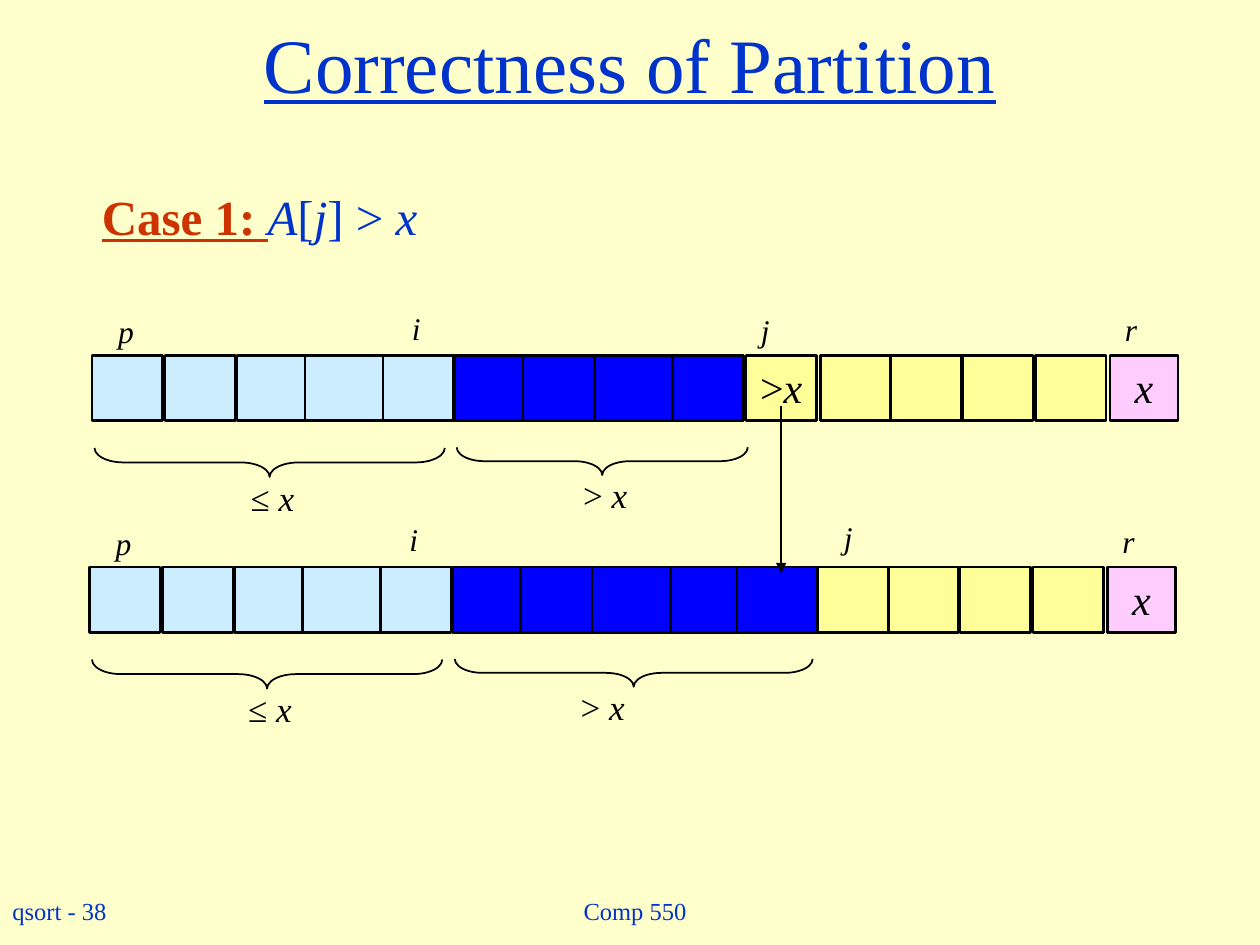
from lxml import etree
from pptx import Presentation
from pptx.dml.color import RGBColor
from pptx.enum.shapes import MSO_CONNECTOR, MSO_SHAPE
from pptx.enum.text import MSO_ANCHOR, MSO_AUTO_SIZE, PP_ALIGN
from pptx.oxml.ns import qn
from pptx.util import Inches, Pt

FONT = "Times New Roman"
COLORS = {
    "background": "FFFFCC", "blue": "0033CC", "red": "CC3300", "black": "000000",
    "smaller": "CCECFF", "larger": "0000FF", "unseen": "FFFF99", "pivot": "FFCCFF",
}

# Array cells, measured from the left edge of the array: (left, width)
CELLS = [(0, 0.56), (0.58, 0.56), (1.15, 0.56), (1.69, 0.64), (2.31, 0.56),
         (2.88, 0.56), (3.42, 0.64), (3.99, 0.64), (4.61, 0.56), (5.19, 0.56),
         (5.78, 0.56), (6.34, 0.56), (6.91, 0.56), (7.49, 0.56), (8.08, 0.54)]
CELL_HEIGHT = 0.52
J_CELL = 9  # the cell under examination


def rgb(name):
    return RGBColor.from_string(COLORS[name])


def write(shape, runs, size, color="black", align=None, anchor=MSO_ANCHOR.TOP,
          wrap=False, grow=True):
    """Fill a shape with one paragraph of (text, font attributes) runs."""
    tf = shape.text_frame
    tf.word_wrap = wrap
    tf.auto_size = MSO_AUTO_SIZE.SHAPE_TO_FIT_TEXT if grow else MSO_AUTO_SIZE.NONE
    tf.vertical_anchor = anchor
    p = tf.paragraphs[0]
    p.alignment = align
    p.font.name, p.font.size = FONT, Pt(size)
    p.font.color.rgb = rgb(color)
    for text, attributes in runs:
        r = p.add_run()
        r.text = text
        for key, value in attributes.items():
            if key == "color":
                r.font.color.rgb = rgb(value)
            else:
                setattr(r.font, key, value)


def add_text(shapes, box, runs, size, **options):
    write(shapes.add_textbox(*map(Inches, box)), runs, size, **options)


def add_outlined(shapes, kind, box, weight, fill=None):
    sp = shapes.add_shape(kind, *map(Inches, box))
    sp.shadow.inherit = False
    if fill:
        sp.fill.solid()
        sp.fill.fore_color.rgb = rgb(fill)
    else:
        sp.fill.background()
    sp.line.color.rgb = rgb("black")
    sp.line.width = Pt(weight)
    return sp


def add_brace(shapes, center_x, center_y, span, depth):
    """Draw a brace that opens upward over the given span."""
    box = (center_x - depth / 2, center_y - span / 2, depth, span)
    sp = add_outlined(shapes, MSO_SHAPE.LEFT_BRACE, box, 1)
    sp.rotation = 270
    sp.adjustments[0] = 1.0


def add_arrow(shapes, x1, y1, x2, y2):
    line = shapes.add_connector(MSO_CONNECTOR.STRAIGHT,
                                *map(Inches, (x1, y1, x2, y2)))
    line.line.color.rgb = rgb("black")
    line.line.width = Pt(1)
    etree.SubElement(line.line._get_or_add_ln(), qn("a:tailEnd"), type="triangle")
    etree.SubElement(line._element.spPr, qn("a:effectLst"))


def add_array(s, left, top, cells, regions, texts, j_at, larger_brace):
    """Draw the array with its index labels and region braces."""
    shapes = s.shapes.add_group_shape().shapes
    italic = {"italic": True}

    # Cells
    for i, ((x, width), region) in enumerate(zip(cells, regions)):
        sp = add_outlined(shapes, MSO_SHAPE.RECTANGLE,
                          (left + x, top, width, CELL_HEIGHT), 1.5, region)
        if i in texts:
            write(sp, texts[i], 24, align=PP_ALIGN.CENTER)

    # Index labels
    labels = [("p", 0.11, -0.39, 0.33), ("i", 2.44, -0.42, 0.27),
              ("j", *j_at, 0.27), ("r", 8.1, -0.41, 0.3)]
    for name, x, y, width in labels:
        add_text(shapes, (left + x, top + y, width, 0.4), [(name, italic)], 18)

    # Region braces and their captions
    add_brace(shapes, left + 1.41, top + 0.85, 2.78, 0.23)
    add_brace(shapes, left + larger_brace[0], top + 0.84, larger_brace[1], 0.22)
    for sign, x, y in [("≤ ", 1.16, 0.91), ("> ", 3.8, 0.89)]:
        add_text(shapes, (left + x, top + y, 0.55, 0.43),
                 [(sign, {}), ("x", italic)], 20)
    return shapes


def main():
    prs = Presentation()
    prs.slide_width, prs.slide_height = Inches(10), Inches(7.5)
    s = prs.slides.add_slide(prs.slide_layouts[6])
    s.background.fill.solid()
    s.background.fill.fore_color.rgb = rgb("background")
    roman, italic = {"italic": False}, {"italic": True}

    # Footer and title
    add_text(s.shapes, (0, 7.06, 0.98, 0.33), [("qsort - 38", {})], 14, color="blue")
    centered = dict(color="blue", align=PP_ALIGN.CENTER,
                    anchor=MSO_ANCHOR.MIDDLE, grow=False)
    add_text(s.shapes, (4, 6.98, 2.08, 0.5), [("Comp 550", {})], 14, **centered)
    add_text(s.shapes, (0, 0, 10, 1),
             [("Correctness of Partition", {"underline": True})], 44,
             wrap=True, **centered)

    # Array before the step
    pivot_text = [(" x ", italic)]
    regions = ["smaller"] * 5 + ["larger"] * 4 + ["unseen"] * 5 + ["pivot"]
    add_array(s, 0.73, 2.82, CELLS, regions,
              {J_CELL: [(">", roman), ("x", italic)], 14: pivot_text},
              j_at=(5.21, -0.4), larger_brace=(4.05, 2.31))

    # Array after the step: the examined cell joins the larger region
    cells = CELLS.copy()
    cells[J_CELL] = (5.14, 0.64)
    regions[J_CELL] = "larger"
    after = add_array(s, 0.71, 4.5, cells, regions, {14: pivot_text},
                      j_at=(5.89, -0.44), larger_brace=(4.32, 2.84))
    add_arrow(after, 6.2, 3.22, 6.2, 4.55)

    # Case statement
    add_text(s.shapes, (0.71, 1.43, 2.73, 0.57),
             [("Case 1: ", {"bold": True, "underline": True, "color": "red"}),
              ("A", italic), ("[", roman), ("j", italic), ("] > ", roman),
              ("x", italic)], 28, color="blue")

    prs.save("out.pptx")


if __name__ == "__main__":
    main()
